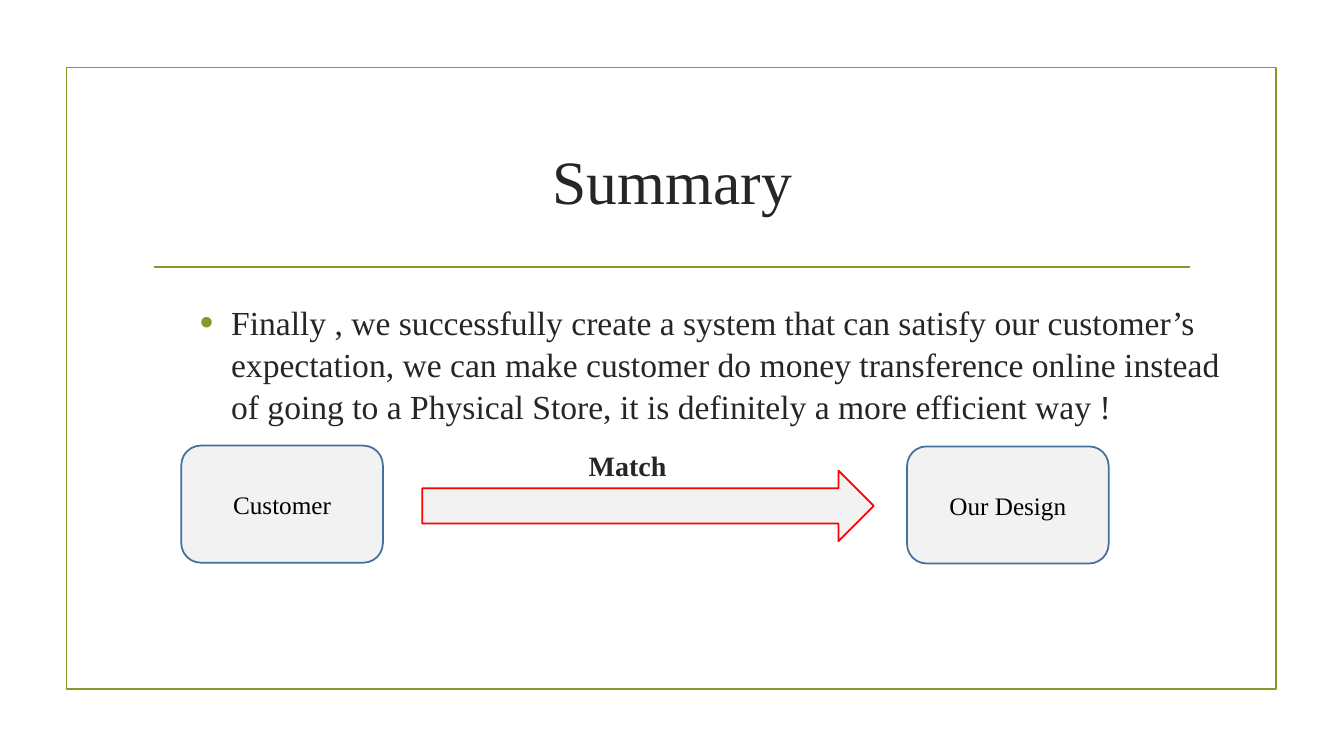
from lxml.etree import SubElement
from pptx import Presentation
from pptx.dml.color import RGBColor
from pptx.enum.shapes import MSO_CONNECTOR, MSO_SHAPE
from pptx.enum.text import MSO_ANCHOR, MSO_AUTO_SIZE, PP_ALIGN
from pptx.oxml.ns import qn
from pptx.util import Cm, Pt

TITLE = "Summary"
MESSAGE = (
    "Finally , we successfully create a system that can satisfy our customer’s "
    "expectation, we can make customer do money transference online instead "
    "of going to a Physical Store, it is definitely a more efficient way !"
)
ARROW_LABEL = "Match"
# label, left and top in cm
BOXES = [("Customer", 4.57, 11.23), ("Our Design", 22.86, 11.25)]
BOX_SIZE = (5.08, 2.95)

FONT = "Times New Roman"
LINE_WIDTH = Pt(1.25)
COLORS = {
    "accent": "83992A",
    "text": "262626",
    "box_text": "000000",
    "panel": "F2F2F2",
    "box_line": "44709D",
    "arrow_line": "FF0000",
}


def color(name):
    return RGBColor.from_string(COLORS[name])


def place(shape, left, top, width, height):
    shape.left, shape.top = Cm(left), Cm(top)
    shape.width, shape.height = Cm(width), Cm(height)


def add_run(paragraph, text, size, color_name="text", bold=False):
    run = paragraph.add_run()
    run.text = text
    run.font.name = FONT
    run.font.size = Pt(size)
    run.font.bold = bold
    run.font.color.rgb = color(color_name)


def add_outlined(slide, kind, bounds, line, fill=None):
    shape = slide.shapes.add_shape(kind, *(Cm(length) for length in bounds))
    shape.shadow.inherit = False
    if fill:
        shape.fill.solid()
        shape.fill.fore_color.rgb = color(fill)
    else:
        shape.fill.background()
    shape.line.color.rgb = color(line)
    shape.line.width = LINE_WIDTH
    return shape


def format_indent(paragraph, left, hanging=0, bullet=None):
    """Set the indents in cm and either a bullet character or none."""
    properties = paragraph._p.get_or_add_pPr()
    properties.set("marL", str(Cm(left)))
    properties.set("indent", str(-Cm(hanging)))
    if bullet is None:
        SubElement(properties, qn("a:buNone"))
        return
    bullet_color = SubElement(properties, qn("a:buClr"))
    SubElement(bullet_color, qn("a:srgbClr"), val=COLORS["accent"])
    SubElement(properties, qn("a:buSzPct"), val="115000")
    SubElement(properties, qn("a:buFont"), typeface="Arial")
    SubElement(properties, qn("a:buChar"), char=bullet)


def add_frame(slide):
    add_outlined(slide, MSO_SHAPE.RECTANGLE, (1.68, 1.7, 30.48, 15.67), "accent")
    rule = slide.shapes.add_connector(
        MSO_CONNECTOR.STRAIGHT, Cm(3.89), Cm(6.73), Cm(30), Cm(6.73))
    rule.line.color.rgb = color("accent")
    rule.line.width = LINE_WIDTH
    SubElement(rule._element.spPr, qn("a:effectLst"))


def fill_title(title):
    place(title, 3.61, 2.72, 26.67, 3.63)
    frame = title.text_frame
    frame.auto_size = MSO_AUTO_SIZE.NONE
    frame.vertical_anchor = MSO_ANCHOR.MIDDLE
    paragraph = frame.paragraphs[0]
    paragraph.alignment = PP_ALIGN.CENTER
    add_run(paragraph, TITLE, 44)


def fill_body(body):
    place(body, 4.78, 7.44, 26.67, 9.22)
    frame = body.text_frame
    frame.auto_size = MSO_AUTO_SIZE.NONE
    frame.vertical_anchor = MSO_ANCHOR.TOP

    message = frame.paragraphs[0]
    message.line_spacing = 1.04
    message.space_before, message.space_after = Pt(4.8), Pt(6)
    format_indent(message, 0.79, 0.79, "•")
    add_run(message, MESSAGE, 24)

    label = frame.add_paragraph()
    label.space_before, label.space_after = Pt(10), Pt(6)
    format_indent(label, 9.8)
    add_run(label, ARROW_LABEL, 20, bold=True)


def add_match_diagram(slide):
    for text, left, top in BOXES:
        box = add_outlined(slide, MSO_SHAPE.ROUNDED_RECTANGLE,
                           (left, top, *BOX_SIZE), "box_line", "panel")
        box.text_frame.vertical_anchor = MSO_ANCHOR.MIDDLE
        paragraph = box.text_frame.paragraphs[0]
        paragraph.alignment = PP_ALIGN.CENTER
        add_run(paragraph, text, 18, "box_text")
    add_outlined(slide, MSO_SHAPE.RIGHT_ARROW, (10.64, 11.86, 11.38, 1.78),
                 "arrow_line", "panel")


def main():
    presentation = Presentation()
    presentation.slide_width, presentation.slide_height = Cm(33.87), Cm(19.05)
    slide = presentation.slides.add_slide(presentation.slide_layouts[1])
    add_frame(slide)
    fill_title(slide.shapes.title)
    fill_body(slide.placeholders[1])
    add_match_diagram(slide)
    presentation.save("out.pptx")


if __name__ == "__main__":
    main()
